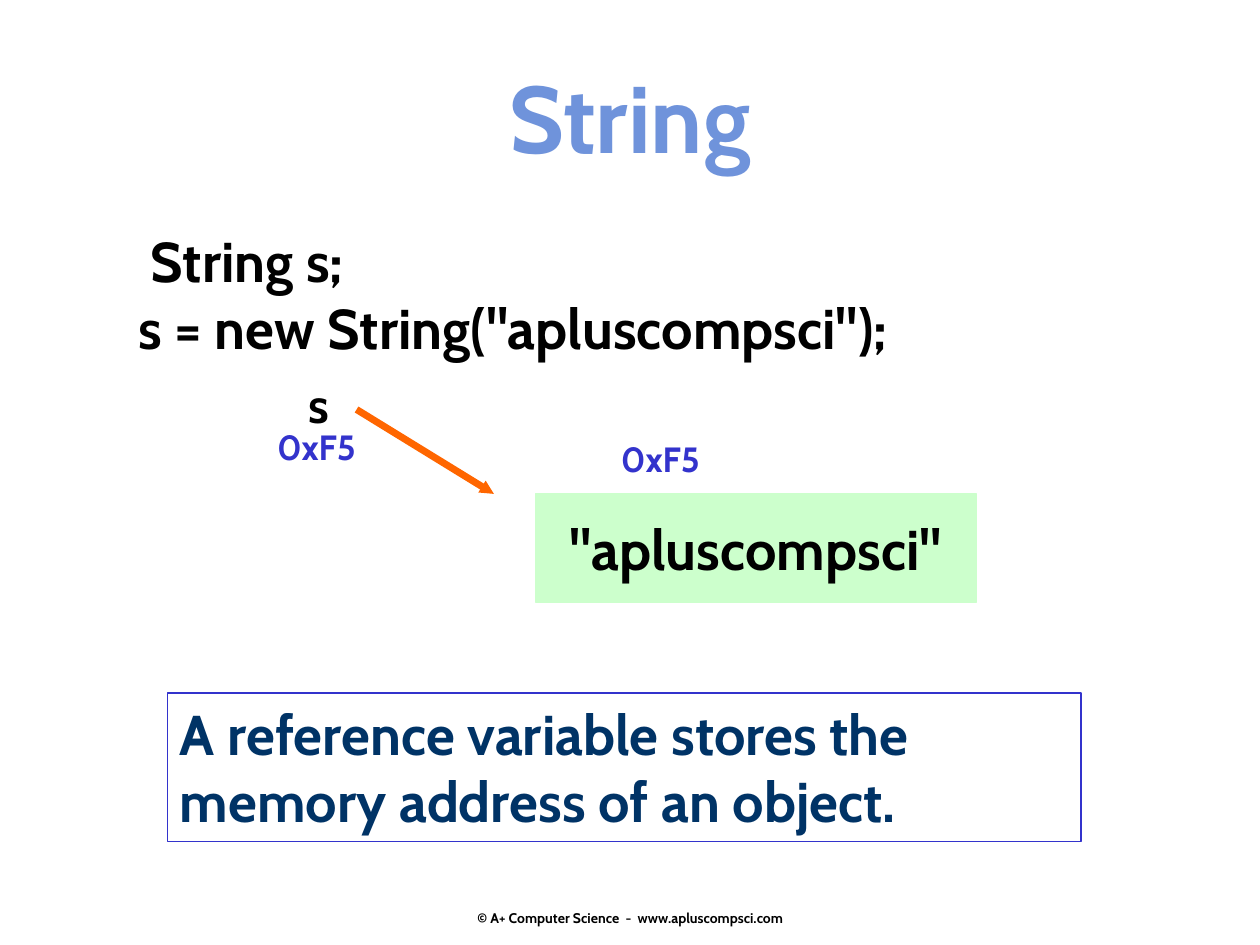
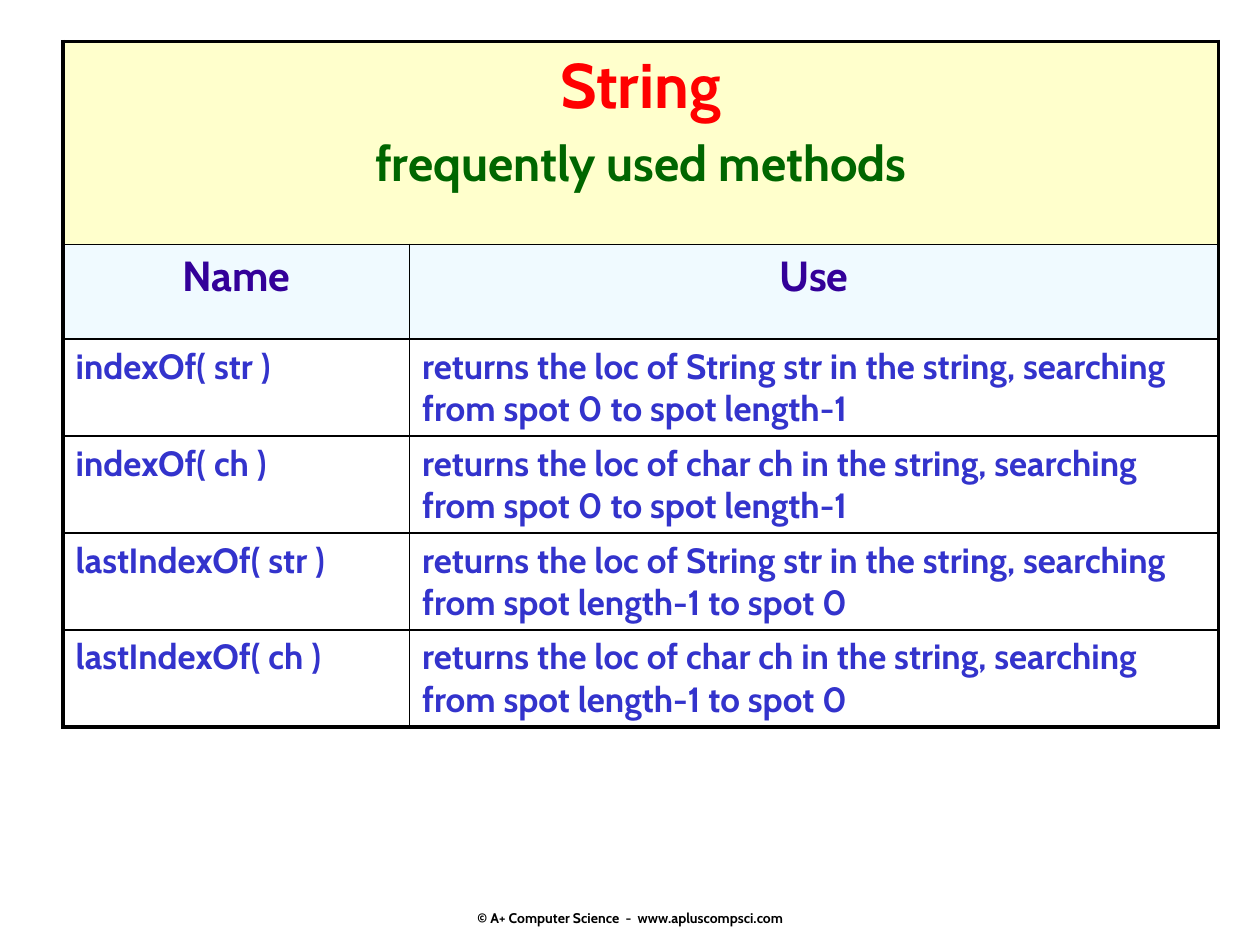
"""Build two slides on String references and frequently used String methods."""
from dataclasses import dataclass

from lxml import etree
from pptx import Presentation
from pptx.dml.color import RGBColor
from pptx.enum.shapes import MSO_CONNECTOR, MSO_SHAPE
from pptx.enum.text import MSO_ANCHOR, PP_ALIGN
from pptx.oxml.ns import qn
from pptx.util import Inches, Pt

LEFT, CENTER = PP_ALIGN.LEFT, PP_ALIGN.CENTER
TOP, MIDDLE, BOTTOM = MSO_ANCHOR.TOP, MSO_ANCHOR.MIDDLE, MSO_ANCHOR.BOTTOM
RECTANGLE, STRAIGHT = MSO_SHAPE.RECTANGLE, MSO_CONNECTOR.STRAIGHT
TITLE_ONLY, BLANK = 5, 6


@dataclass(frozen=True)
class Theme:
    font: str = "Cabin"
    black: str = "000000"
    title: str = "6F93DB"
    blue: str = "3333CC"
    navy: str = "003366"
    orange: str = "FF6600"
    mint: str = "CCFFCC"
    red: str = "FF0000"
    green: str = "006600"
    purple: str = "330099"
    cream: str = "FFFFCC"
    ice: str = "F0FAFF"
    title_size: int = 54
    heading_size: int = 36
    code_size: int = 32
    label_size: int = 28
    column_size: int = 24
    body_size: int = 20
    footer_size: int = 8
    thin: float = 1
    thick: float = 2.25


theme = Theme()


def write(frame, lines, align=LEFT, anchor=TOP):
    """Write lines of (text, size, colour) into a text frame."""
    frame.word_wrap = True
    frame.vertical_anchor = anchor
    for index, (text, size, color) in enumerate(lines):
        paragraph = frame.add_paragraph() if index else frame.paragraphs[0]
        paragraph.alignment = align
        run = paragraph.add_run()
        run.text = text
        run.font.name = theme.font
        run.font.size = Pt(size)
        run.font.bold = True
        run.font.color.rgb = RGBColor.from_string(color)


def set_borders(cell, widths):
    """Draw the left, right, top and bottom borders of a cell."""
    properties = cell._tc.get_or_add_tcPr()
    for index, (side, width) in enumerate(zip("LRTB", widths)):
        line = etree.Element(qn(f"a:ln{side}"), w=str(Pt(width)))
        fill = etree.SubElement(line, qn("a:solidFill"))
        etree.SubElement(fill, qn("a:srgbClr"), val=theme.black)
        properties.insert(index, line)


presentation = Presentation()
presentation.slide_width, presentation.slide_height = Inches(10), Inches(7.5)
reference_slide = presentation.slides.add_slide(presentation.slide_layouts[TITLE_ONLY])
methods_slide = presentation.slides.add_slide(presentation.slide_layouts[BLANK])

for slide in (reference_slide, methods_slide):
    footer = slide.shapes.add_textbox(Inches(3.42), Inches(6.85), Inches(3.17), Inches(0.5))
    footer.text_frame.margin_bottom = 0
    write(footer.text_frame,
          [("© A+ Computer Science  -  www.apluscompsci.com", theme.footer_size, theme.black)],
          CENTER, BOTTOM)

title = reference_slide.shapes.title
title.left, title.top = Inches(0), Inches(0.42)
title.width, title.height = Inches(10), Inches(1.01)
write(title.text_frame, [("String", theme.title_size, theme.title)], CENTER)

labels = [
    (1, 1.75, 7.56, 1.18, [" String s;", 's = new String("apluscompsci");'],
     theme.code_size, theme.black, LEFT),
    (2.33, 2.92, 0.4, 0.97, ["s"], theme.label_size, theme.black, CENTER),
    (2.1, 3.33, 0.89, 0.43, ["0xF5"], theme.body_size, theme.blue, LEFT),
    (4.83, 3.42, 0.89, 0.43, ["0xF5"], theme.body_size, theme.blue, LEFT),
]
for left, top, width, height, texts, size, color, align in labels:
    label = reference_slide.shapes.add_textbox(
        Inches(left), Inches(top), Inches(width), Inches(height))
    write(label.text_frame, [(text, size, color) for text in texts], align)

boxes = [
    (4.25, 3.92, 3.5, 0.86, theme.mint, theme.mint, 1,
     ['"apluscompsci"'], theme.black, CENTER, MIDDLE),
    (1.33, 5.5, 7.25, 1.18, None, theme.blue, 0.75,
     ["A reference variable stores the", "memory address of an object."],
     theme.navy, LEFT, TOP),
]
for left, top, width, height, fill, outline, weight, texts, color, align, anchor in boxes:
    box = reference_slide.shapes.add_shape(
        RECTANGLE, Inches(left), Inches(top), Inches(width), Inches(height))
    box.shadow.inherit = False
    if fill:
        box.fill.solid()
        box.fill.fore_color.rgb = RGBColor.from_string(fill)
    else:
        box.fill.background()
    box.line.color.rgb = RGBColor.from_string(outline)
    box.line.width = Pt(weight)
    write(box.text_frame, [(text, theme.code_size, color) for text in texts], align, anchor)

arrow = reference_slide.shapes.add_connector(
    STRAIGHT, Inches(2.83), Inches(3.25), Inches(3.92), Inches(3.92))
arrow.line.color.rgb = RGBColor.from_string(theme.orange)
arrow.line.width = Pt(4)
etree.SubElement(arrow.line._get_or_add_ln(), qn("a:tailEnd"), type="triangle", w="sm", len="sm")
etree.SubElement(arrow._element.spPr, qn("a:effectLst"))

methods = [
    ("indexOf( str )",
     "returns the loc of String str in the string, searching from spot 0 to spot length-1"),
    ("indexOf( ch )",
     "returns the loc of char ch in the string, searching from spot 0 to spot length-1"),
    ("lastIndexOf( str )",
     "returns the loc of String str in the string, searching from spot length-1 to spot 0"),
    ("lastIndexOf( ch )",
     "returns the loc of char ch in the string, searching from spot length-1 to spot 0"),
]
row_heights = [1.61, 0.75] + [0.77] * len(methods)
last_row = len(row_heights) - 1
table = methods_slide.shapes.add_table(
    len(row_heights), 2, Inches(0.5), Inches(0.33), Inches(9.17),
    Inches(sum(row_heights))).table
table.first_row = table.horz_banding = False
for column, width in zip(table.columns, (2.75, 6.42)):
    column.width = Inches(width)
for row, height in zip(table.rows, row_heights):
    row.height = Inches(height)

heading = table.cell(0, 0)
heading.merge(table.cell(0, 1))
write(heading.text_frame,
      [("String", theme.heading_size, theme.red),
       ("frequently used methods", theme.label_size, theme.green)], CENTER)
heading.text_frame.paragraphs[1].space_before = Pt(5.6)

for row_index, texts in enumerate([("Name", "Use")] + methods, start=1):
    is_header = row_index == 1
    size = theme.column_size if is_header else theme.body_size
    color = theme.purple if is_header else theme.blue
    for column_index, text in enumerate(texts):
        write(table.cell(row_index, column_index).text_frame, [(text, size, color)],
              CENTER if is_header else LEFT)

row_fills = {0: theme.cream, 1: theme.ice}
for row_index in range(len(row_heights)):
    for column_index in range(2):
        cell = table.cell(row_index, column_index)
        if row_index in row_fills:
            cell.fill.solid()
            cell.fill.fore_color.rgb = RGBColor.from_string(row_fills[row_index])
        else:
            cell.fill.background()
        on_edge = (column_index == 0, column_index == 1 or row_index == 0,
                   row_index == 0, row_index == last_row)
        set_borders(cell, [theme.thick if edge else theme.thin for edge in on_edge])

presentation.save("out.pptx")
